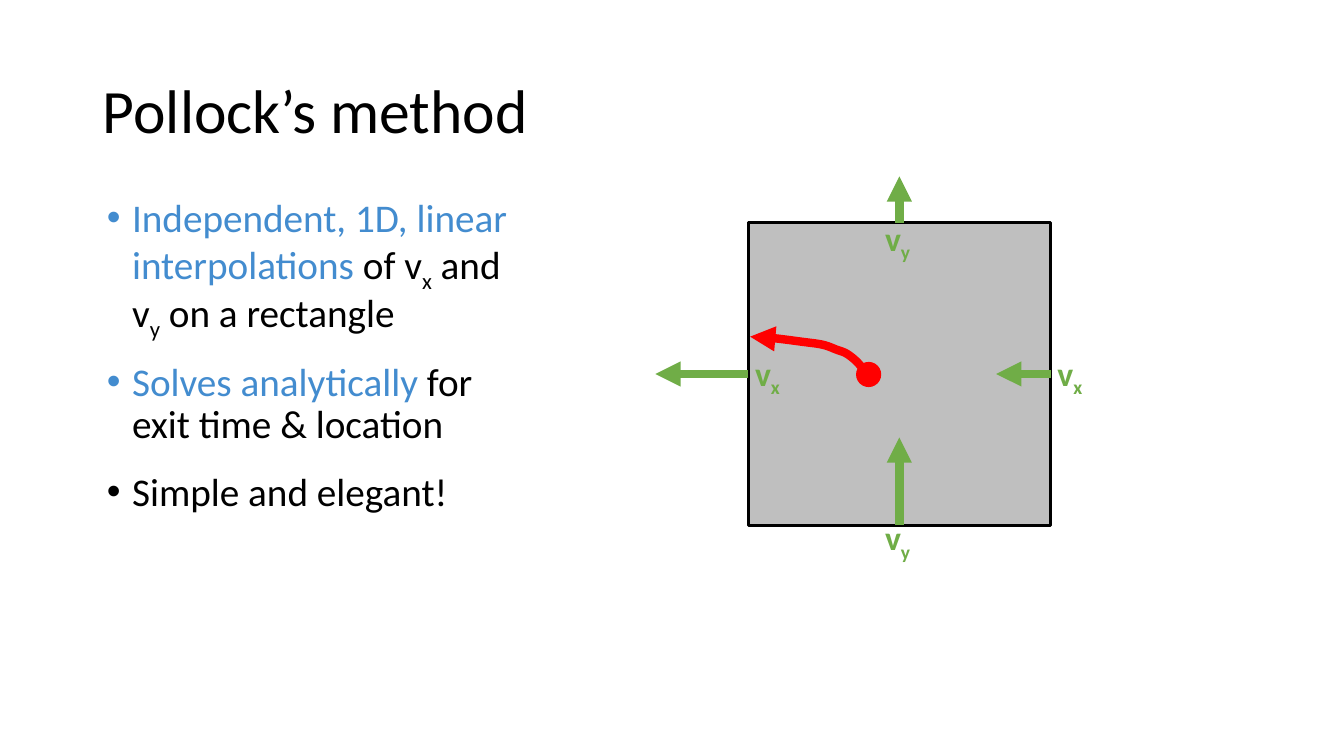
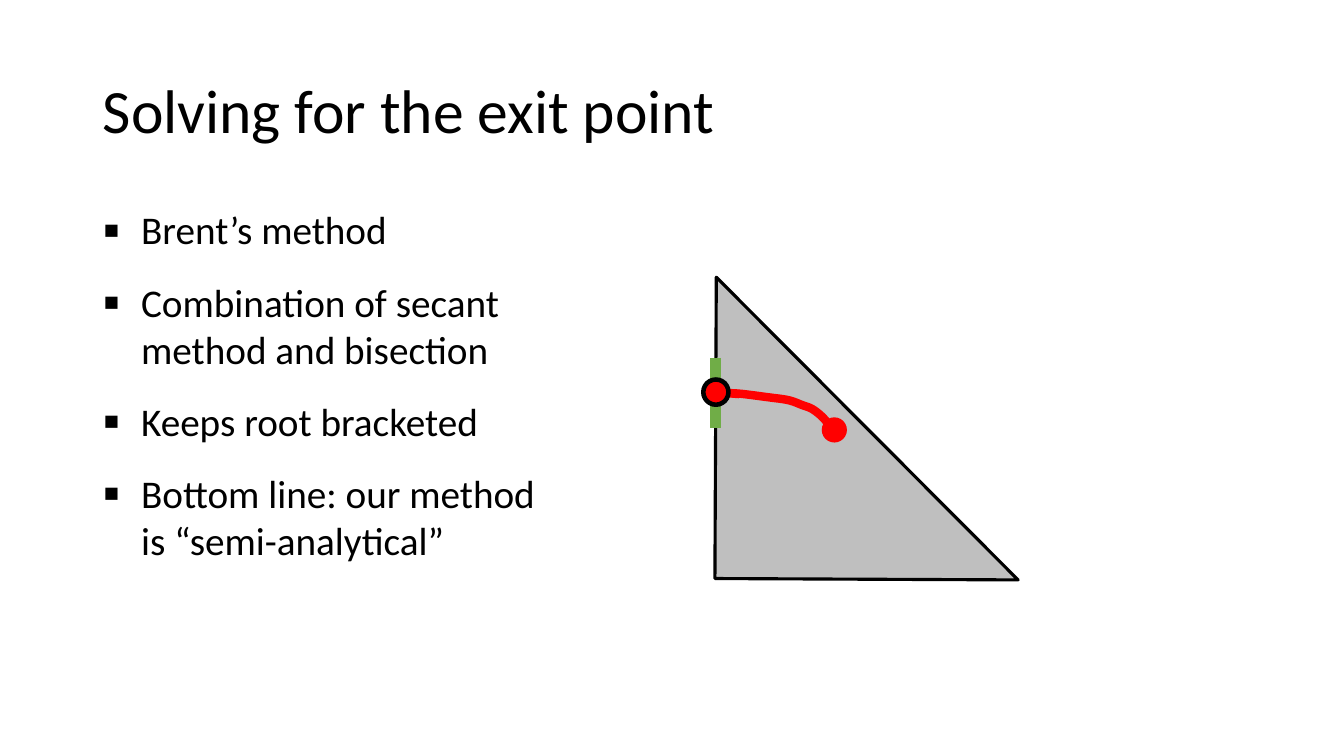
from lxml.etree import SubElement
from pptx import Presentation
from pptx.dml.color import RGBColor
from pptx.enum.shapes import MSO_CONNECTOR, MSO_SHAPE
from pptx.enum.text import MSO_ANCHOR, MSO_AUTO_SIZE, PP_ALIGN
from pptx.oxml.ns import qn
from pptx.util import Inches, Pt

FONT = "Calibri"
BLACK, BLUE, GREEN, RED, GREY = "000000", "438CCF", "70AD47", "FF0000", "BFBFBF"
TITLE_ONLY, TITLE_AND_CONTENT = 5, 1
DOT = 0.25
# Particle path from its start dot to its exit, relative to its top left corner
PATH = [(1.03, 0.39), (0.92, 0.25), (0.81, 0.16), (0.71, 0.12),
        (0.57, 0.07), (0.36, 0.04), (0.13, 0.01), (0, 0)]


def rgb(color):
    return RGBColor.from_string(color)


def place(shape, x, y, w, h):
    shape.left, shape.top = Inches(x), Inches(y)
    shape.width, shape.height = Inches(w), Inches(h)


def add_runs(p, runs, size, bold=False):
    """Add (text, colour, is_subscript) runs to a paragraph."""
    for text, color, is_subscript in runs:
        r = p.add_run()
        r.text = text
        r.font.name, r.font.size, r.font.bold = FONT, Pt(size), bold
        r.font.color.rgb = rgb(color)
        if is_subscript:
            r._r.get_or_add_rPr().set("baseline", "-25000")


def set_bullet(p, char, indent, percent):
    pPr = p._p.get_or_add_pPr()
    pPr.set("marL", str(Inches(indent)))
    pPr.set("indent", str(-Inches(indent)))
    SubElement(pPr, qn("a:buSzPct"), val=str(percent * 1000))
    SubElement(pPr, qn("a:buFont"), typeface="Arial")
    SubElement(pPr, qn("a:buChar"), char=char)


def add_slide(prs, title):
    s = prs.slides.add_slide(prs.slide_layouts[TITLE_AND_CONTENT])
    place(s.shapes.title, 0.92, 0.4, 11.5, 1.45)
    tf = s.shapes.title.text_frame
    tf.vertical_anchor, tf.auto_size = MSO_ANCHOR.MIDDLE, MSO_AUTO_SIZE.NONE
    p = tf.paragraphs[0]
    p.alignment, p.line_spacing = PP_ALIGN.LEFT, 0.9
    add_runs(p, [(title, BLACK, False)], 44)
    return s


def fill_body(s, box, items, char, indent, percent=100, line_spacing=1.0):
    body = s.placeholders[1]
    place(body, *box)
    tf = body.text_frame
    tf.word_wrap, tf.auto_size = True, MSO_AUTO_SIZE.NONE
    for i, runs in enumerate(items):
        p = tf.add_paragraph() if i else tf.paragraphs[0]
        set_bullet(p, char, indent, percent)
        p.line_spacing, p.space_before = line_spacing, Pt(18 if i else 0)
        add_runs(p, runs, 28)


def add_filled(s, kind, box, fill, line_width=0):
    sp = s.shapes.add_shape(kind, *map(Inches, box))
    sp.shadow.inherit = False
    sp.fill.solid()
    sp.fill.fore_color.rgb = rgb(fill)
    if line_width:
        sp.line.color.rgb = rgb(BLACK)
        sp.line.width = Pt(line_width)
    else:
        sp.line.fill.background()
    return sp


def add_line(s, start, end, color, width=6, arrow=False):
    line = s.shapes.add_connector(MSO_CONNECTOR.STRAIGHT, *map(Inches, start + end))
    line.line.color.rgb = rgb(color)
    line.line.width = Pt(width)
    if arrow:
        SubElement(line.line._get_or_add_ln(), qn("a:tailEnd"), type="triangle")
    SubElement(line._element.spPr, qn("a:effectLst"))
    return line


def smooth(points, steps=6):
    """Sample a Catmull-Rom curve through the points."""
    padded = [points[0], *points, points[-1]]
    curve = [points[0]]
    for a, b, c, d in zip(padded, padded[1:], padded[2:], padded[3:]):
        for t in (k / steps for k in range(1, steps + 1)):
            curve.append(tuple(
                (2 * q + (r - p) * t + (2 * p - 5 * q + 4 * r - u) * t ** 2
                 + (3 * q - p - 3 * r + u) * t ** 3) / 2
                for p, q, r, u in zip(a, b, c, d)))
    return curve


def add_trajectory(s, x, y, arrow):
    points = [(Inches(x + dx), Inches(y + dy)) for dx, dy in smooth(PATH)]
    builder = s.shapes.build_freeform(*points[0])
    builder.add_line_segments(points[1:], close=False)
    curve = builder.convert_to_shape()
    curve.shadow.inherit = False
    curve.fill.background()
    curve.line.color.rgb = rgb(RED)
    curve.line.width = Pt(6)
    add_line(s, (x + 0.08, y + 0.01), (x - 0.15, y - 0.01), RED, arrow=arrow)
    add_filled(s, MSO_SHAPE.OVAL, (x + 0.9, y + 0.24, DOT, DOT), RED)


def add_velocity_label(s, x, y, axis):
    tf = s.shapes.add_textbox(*map(Inches, (x, y, 0.46, 0.5))).text_frame
    tf.word_wrap, tf.auto_size = False, MSO_AUTO_SIZE.SHAPE_TO_FIT_TEXT
    add_runs(tf.paragraphs[0], [("v", GREEN, False), (axis, GREEN, True)], 24, True)


def draw_cell(s, x, y, side):
    """Draw a square cell with face velocities and a particle path."""
    cell = add_filled(s, MSO_SHAPE.RECTANGLE, (x, y, side, side), GREY, 2.25)
    mid_x, mid_y, right, bottom = x + side / 2, y + side / 2, x + side, y + side
    faces = [  # connection site, start, arrow vector
        (3, (right, mid_y), (-0.54, 0)),
        (1, (x, mid_y), (-0.92, 0)),
        (2, (mid_x, bottom), (0, -0.87)),
        (0, (mid_x, y), (0, -0.46)),
    ]
    for site, start, (dx, dy) in faces:
        end = (start[0] + dx, start[1] + dy)
        add_line(s, start, end, GREEN, arrow=True).begin_connect(cell, site)
    for face_x in (x, right):
        add_velocity_label(s, face_x - 0.03, mid_y - 0.26, "x")
    for label_y in (y - 0.1, bottom - 0.13):
        add_velocity_label(s, mid_x - 0.24, label_y, "y")
    add_trajectory(s, x + 0.17, y + 1.14, arrow=True)


def draw_triangle(s, x, y, w, h):
    """Draw a triangular cell with its exit point bracketed on the left edge."""
    triangle = add_filled(s, MSO_SHAPE.ISOSCELES_TRIANGLE, (x, y, w, h), GREY, 2.25)
    triangle.rotation = 225.1
    triangle.adjustments[0] = 0.503
    edge_x, exit_y = x + 1.37, y - 0.05
    add_trajectory(s, edge_x + 0.15, exit_y + 0.01, arrow=False)
    add_line(s, (edge_x, exit_y - 0.34), (edge_x, exit_y + 0.36), GREEN, 8)
    add_filled(s, MSO_SHAPE.OVAL,
               (edge_x - DOT / 2, exit_y - DOT / 2, DOT, DOT), RED, 3.25)


def pollock_slide(prs):
    s = add_slide(prs, "Pollock’s method")
    fill_body(s, (0.96, 1.92, 4.42, 4.91), [
        [("Independent, 1D, linear interpolations ", BLUE, False),
         ("of v", BLACK, False), ("x", BLACK, True),
         (" and v", BLACK, False), ("y", BLACK, True),
         (" on a rectangle", BLACK, False)],
        [("Solves analytically", BLUE, False),
         (" for exit time & location", BLACK, False)],
        [("Simple and elegant!", BLACK, False)],
    ], "•", 0.25, line_spacing=0.9)
    draw_cell(s, 7.42, 2.21, 3)


def exit_point_slide(prs):
    s = add_slide(prs, "Solving for the exit point")
    items = ["Brent’s method", "Combination of secant method and bisection",
             "Keeps root bracketed", "Bottom line: our method is “semi-analytical”"]
    fill_body(s, (0.92, 1.99, 4.81, 4.91),
              [[(text, BLACK, False)] for text in items], "▪", 0.38, percent=125)
    draw_triangle(s, 5.73, 3.94, 4.24, 2.12)


def main():
    prs = Presentation()
    prs.slide_width, prs.slide_height = Inches(13.33), Inches(7.5)
    pollock_slide(prs)
    exit_point_slide(prs)
    prs.save("out.pptx")


if __name__ == "__main__":
    main()
